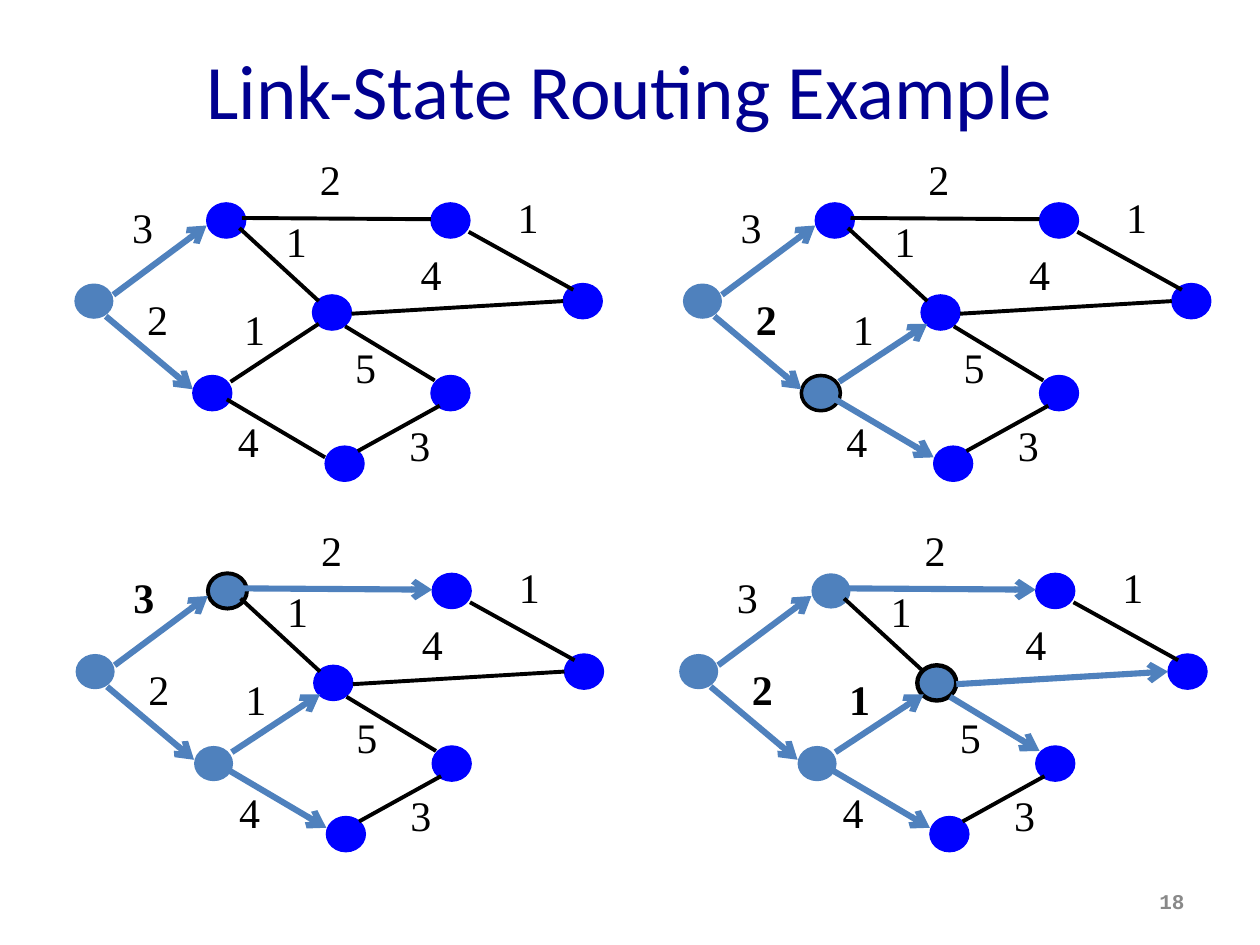
from lxml import etree
from pptx import Presentation
from pptx.dml.color import RGBColor
from pptx.enum.shapes import MSO_CONNECTOR, MSO_SHAPE
from pptx.enum.text import MSO_ANCHOR, MSO_AUTO_SIZE, PP_ALIGN
from pptx.oxml.ns import qn
from pptx.util import Inches, Pt

STRAIGHT = MSO_CONNECTOR.STRAIGHT
ELLIPSE = MSO_SHAPE.OVAL
LEFT, CENTER, RIGHT = PP_ALIGN.LEFT, PP_ALIGN.CENTER, PP_ALIGN.RIGHT
TOP, MIDDLE = MSO_ANCHOR.TOP, MSO_ANCHOR.MIDDLE
FIT_SHAPE = MSO_AUTO_SIZE.SHAPE_TO_FIT_TEXT

REACHED, UNREACHED, BLACK = "4F81BD", "0000FF", "000000"
NODE_WIDTH, NODE_HEIGHT = 0.31, 0.28

NODES = {
    "source": (0.59, 2.25),
    "lower": (1.53, 2.98),
    "upper": (1.64, 1.61),
    "middle": (2.48, 2.34),
    "right": (3.42, 2.98),
    "top": (3.42, 1.61),
    "bottom": (2.58, 3.54),
    "far": (4.47, 2.25),
}

# name: (start, end, cost, cost position)
EDGES = {
    "source-upper": ((0.9, 2.34), (1.64, 1.79), "3", (0.95, 1.55)),
    "source-lower": ((0.84, 2.51), (1.53, 3.09), "2", (1.07, 2.28)),
    "upper-middle": ((1.9, 1.81), (2.53, 2.39), "1", (2.17, 1.66)),
    "lower-bottom": ((1.8, 3.17), (2.58, 3.63), "4", (1.79, 3.25)),
    "lower-middle": ((1.83, 3.03), (2.53, 2.57), "1", (1.84, 2.36)),
    "middle-right": ((2.74, 2.59), (3.45, 3.02), "5", (2.72, 2.66)),
    "bottom-right": ((2.84, 3.58), (3.49, 3.22), "3", (3.15, 3.28)),
    "middle-far": ((2.79, 2.49), (4.47, 2.39), "4", (3.24, 1.92)),
    "upper-top": ((1.92, 1.73), (3.42, 1.74), "2", (2.44, 1.17)),
    "top-far": ((3.72, 1.84), (4.55, 2.3), "1", (4.01, 1.47)),
}

STEPS = [
    {"offset": (0, 0), "reached": ["source"], "ringed": None, "ring": 0, "bold": []},
    {"offset": (4.83, 0), "reached": ["source", "lower"],
     "ringed": "lower", "ring": 2, "bold": ["source-lower"]},
    {"offset": (0.01, 2.94), "reached": ["source", "lower", "upper"],
     "ringed": "upper", "ring": 2.25, "bold": ["source-upper"]},
    {"offset": (4.8, 2.94), "reached": ["source", "lower", "upper", "middle"],
     "ringed": "middle", "ring": 2.5, "bold": ["source-lower", "lower-middle"]},
]


def color(value):
    return RGBColor.from_string(value)


def add_text(shapes, text, left, top, width, height, *, font, size, fill,
             bold=False, align=LEFT, anchor=TOP, wrap=True):
    box = shapes.add_textbox(Inches(left), Inches(top), Inches(width), Inches(height))
    frame = box.text_frame
    frame.word_wrap = wrap
    frame.vertical_anchor = anchor
    if not wrap:
        frame.auto_size = FIT_SHAPE
    para = frame.paragraphs[0]
    para.alignment = align
    span = para.add_run()
    span.text = text
    span.font.name = font
    span.font.size = Pt(size)
    span.font.bold = bold
    span.font.color.rgb = color(fill)


def add_node(shapes, left, top, reached, ring):
    node = shapes.add_shape(ELLIPSE, Inches(left), Inches(top),
                            Inches(NODE_WIDTH), Inches(NODE_HEIGHT))
    node.shadow.inherit = False
    node.fill.solid()
    node.fill.fore_color.rgb = color(REACHED if reached else UNREACHED)
    if reached and not ring:
        node.line.fill.background()
    else:
        node.line.color.rgb = color(BLACK if ring else UNREACHED)
        node.line.width = Pt(ring or 0.75)


def add_edge(shapes, start, end, explored):
    edge = shapes.add_connector(STRAIGHT, *[Inches(value) for value in (*start, *end)])
    edge.line.color.rgb = color(REACHED if explored else BLACK)
    edge.line.width = Pt(3.5 if explored else 2.25)
    properties = edge.line.fill and edge._element.spPr
    etree.SubElement(properties, qn("a:effectLst"))
    if explored:
        etree.SubElement(properties.find(qn("a:ln")), qn("a:tailEnd"), type="arrow")


def add_step(page, step):
    shapes = page.shapes.add_group_shape().shapes
    across, down = step["offset"]

    def move(point):
        return point[0] + across, point[1] + down

    for name, position in NODES.items():
        ring = step["ring"] if name == step["ringed"] else 0
        add_node(shapes, *move(position), name in step["reached"], ring)
    # an edge is explored from a reached node unless a shorter path already exists
    for name, (start, end, cost, place) in EDGES.items():
        explored = name.split("-")[0] in step["reached"] and name != "upper-middle"
        add_edge(shapes, move(start), move(end), explored)
    for name, (start, end, cost, place) in EDGES.items():
        add_text(shapes, cost, *move(place), 0.37, 0.5, font="Times New Roman",
                 size=24, fill=BLACK, bold=name in step["bold"], wrap=False)


def main():
    deck = Presentation()
    deck.slide_width, deck.slide_height = Inches(10), Inches(7.5)
    page = deck.slides.add_slide(deck.slide_layouts[6])
    add_text(page.shapes, "Link-State Routing Example", 0.5, 0.08, 9, 1.25,
             font="Calibri", size=44, fill="000090", align=CENTER, anchor=MIDDLE)
    for step in STEPS:
        add_step(page, step)
    add_text(page.shapes, "18", 7.17, 6.95, 2.33, 0.4, font="Courier New",
             size=12, fill="898989", bold=True, align=RIGHT, anchor=MIDDLE)
    deck.save("out.pptx")


if __name__ == "__main__":
    main()
